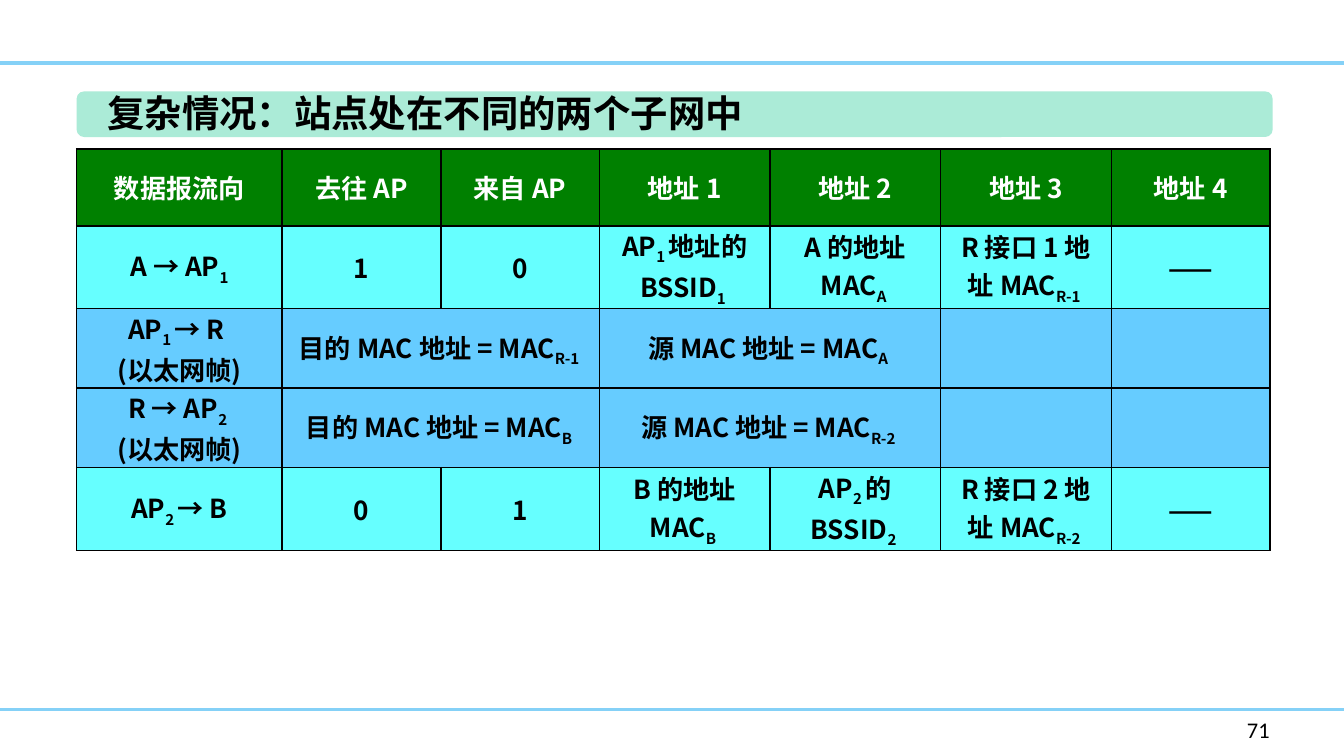
from lxml.etree import SubElement
from pptx import Presentation
from pptx.dml.color import RGBColor
from pptx.enum.shapes import MSO_CONNECTOR, MSO_SHAPE
from pptx.enum.text import MSO_ANCHOR, PP_ALIGN
from pptx.oxml import parse_xml
from pptx.oxml.ns import nsdecls, qn
from pptx.util import Inches, Pt

BLACK = RGBColor(0x00, 0x00, 0x00)
WHITE = RGBColor(0xFF, 0xFF, 0xFF)
SKY = RGBColor(0x85, 0xD1, 0xF7)
MINT = RGBColor(0xAB, 0xEB, 0xD7)
GREEN = RGBColor(0x00, 0x80, 0x00)
CYAN = RGBColor(0x66, 0xFF, 0xFF)
BLUE = RGBColor(0x66, 0xCC, 0xFF)

SANS = "Noto Sans CJK SC"
WIDE = 10
HIGH = WIDE * 9 / 16
COLS = [1.53, 1.18, 1.18, 1.27, 1.27, 1.27, 1.18]
ROW = 0.57

# Every second part between bars is a subscript; None continues a merged cell
ROWS = [
    (GREEN, ["数据报流向", "去往 AP", "来自 AP",
             "地址 1", "地址 2", "地址 3", "地址 4"]),
    (CYAN, ["A → AP|1", "1", "0", "AP|1 |地址的 BSSID|1 ",
            "A 的地址 MAC|A ", "R 接口 1 地址 MAC|R-1 ", "——"]),
    (BLUE, ["AP|1 |→ R \n(以太网帧)", "目的 MAC 地址 = MAC|R-1 ", None,
            "源 MAC 地址 = MAC|A ", None, "", ""]),
    (BLUE, ["R → AP|2 \n(以太网帧)", "目的 MAC 地址 = MAC|B ", None,
            "源 MAC 地址 = MAC|R-2 ", None, "", ""]),
    (CYAN, ["AP|2 |→ B", "0", "1", "B 的地址 MAC|B ",
            "AP|2 |的BSSID|2 ", "R 接口 2 地址 MAC|R-2 ", "——"]),
]


def add_run(para, text, size, color, face=SANS, bold=True, sub=False):
    run = para.add_run()
    run.text = text
    font = run.font
    font.size, font.bold, font.name = Pt(size), bold, face
    font.color.rgb = color
    props = run._r.get_or_add_rPr()
    SubElement(props, qn("a:ea")).set("typeface", face)
    if sub:
        props.set("baseline", "-25000")


def add_rule(slide, y):
    line = slide.shapes.add_connector(
        MSO_CONNECTOR.STRAIGHT, 0, Inches(y), Inches(WIDE), Inches(y))
    line.line.color.rgb = SKY
    line.line.width = Pt(2)
    SubElement(line._element.spPr, qn("a:effectLst"))


def add_label(slide, box, text, size, wrap, **style):
    frame = slide.shapes.add_textbox(*map(Inches, box)).text_frame
    frame.word_wrap = wrap
    add_run(frame.paragraphs[0], text, size, BLACK, **style)


def add_banner(slide):
    bar = slide.shapes.add_shape(
        MSO_SHAPE.ROUNDED_RECTANGLE,
        Inches(0.57), Inches(0.68), Inches(8.9), Inches(0.34))
    bar.shadow.inherit = False
    bar.fill.solid()
    bar.fill.fore_color.rgb = MINT
    bar.line.fill.background()
    add_label(slide, (0.7, 0.62, 4.97, 0.44),
              "复杂情况：站点处在不同的两个子网中", 20, False)


def set_edges(cell):
    props = cell._tc.get_or_add_tcPr()
    for spot, side in enumerate("LRTB"):
        props.insert(spot, parse_xml(
            f'<a:ln{side} {nsdecls("a")} w="12700"><a:solidFill>'
            f'<a:srgbClr val="{BLACK}"/></a:solidFill></a:ln{side}>'))


def fill_cell(cell, text, color):
    cell.fill.solid()
    cell.fill.fore_color.rgb = color
    set_edges(cell)
    if not text:
        return
    cell.vertical_anchor = MSO_ANCHOR.MIDDLE
    cell.margin_left = cell.margin_right = Inches(0.07)
    cell.margin_top = cell.margin_bottom = 0
    ink = WHITE if color == GREEN else BLACK
    frame = cell.text_frame
    for num, line in enumerate(text.split("\n")):
        para = frame.add_paragraph() if num else frame.paragraphs[0]
        para.alignment = PP_ALIGN.CENTER
        for part, piece in enumerate(line.split("|")):
            add_run(para, piece, 14, ink, sub=part % 2 == 1)


def add_grid(slide):
    table = slide.shapes.add_table(
        len(ROWS), len(COLS), Inches(0.57), Inches(1.11),
        Inches(sum(COLS)), Inches(ROW * len(ROWS))).table
    table.first_row = table.horz_banding = False
    for col, width in zip(table.columns, COLS):
        col.width = Inches(width)
    for r, (color, texts) in enumerate(ROWS):
        table.rows[r].height = Inches(ROW)
        for c, text in enumerate(texts):
            fill_cell(table.cell(r, c), text, color)
            if text is None:
                table.cell(r, c - 1).merge(table.cell(r, c))


def main():
    deck = Presentation()
    deck.slide_width, deck.slide_height = Inches(WIDE), Inches(HIGH)
    slide = deck.slides.add_slide(deck.slide_layouts[6])

    # Frame lines
    for y in (0.47, 5.28):
        add_rule(slide, y)

    # Address table and its heading
    add_grid(slide)
    add_banner(slide)

    # Page number
    add_label(slide, (9.18, 5.28, 0.63, 0.3), "71", 12, True,
              face="Calibri", bold=False)

    deck.save("out.pptx")


if __name__ == "__main__":
    main()
